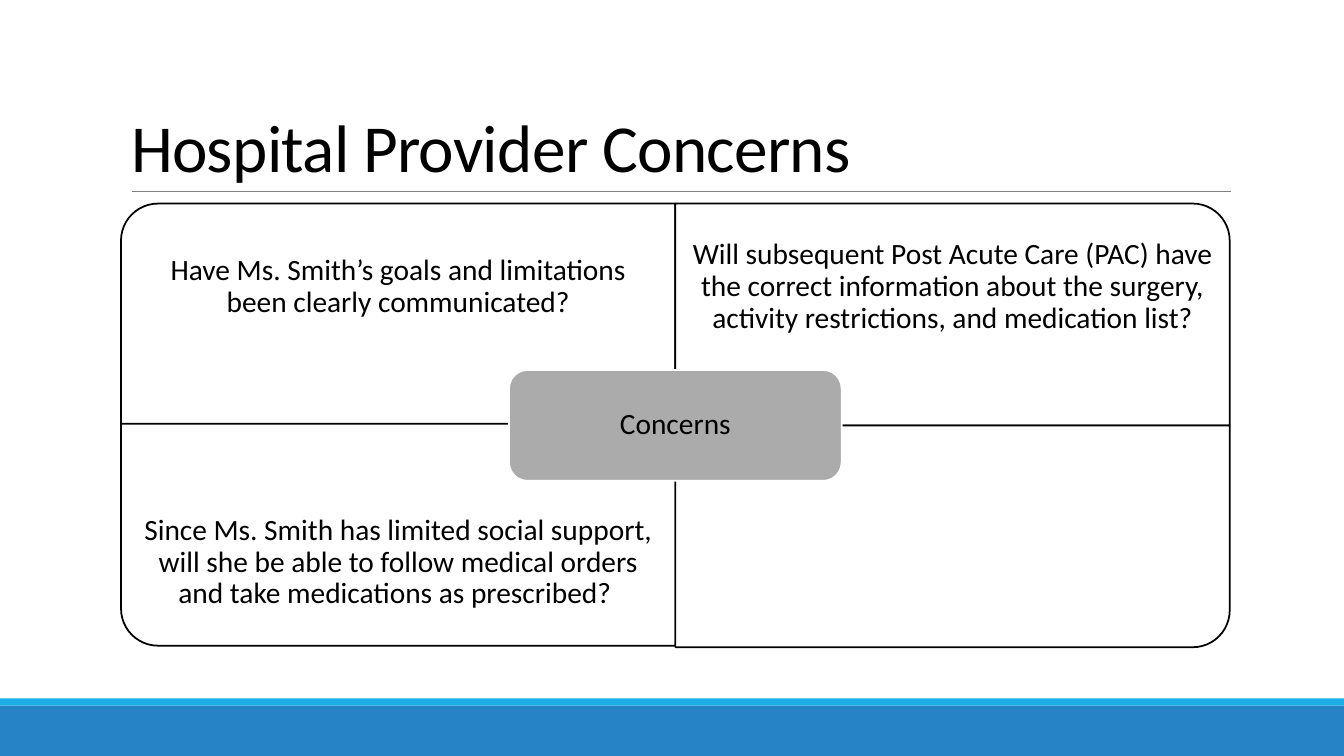
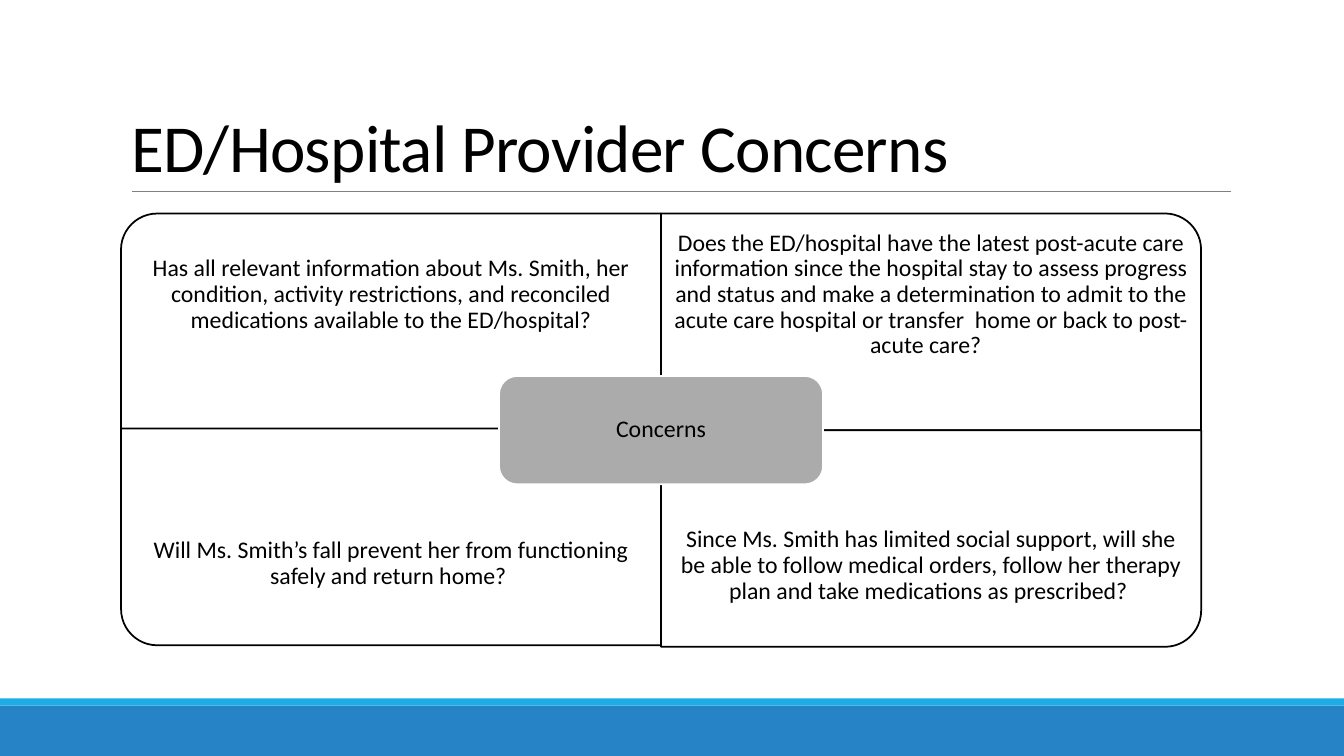
from dataclasses import dataclass
from typing import Any, NamedTuple

from pptx import Presentation
from pptx.dml.color import RGBColor as RGB
from pptx.enum.shapes import MSO_CONNECTOR as Link, MSO_SHAPE as Preset
from pptx.enum.text import MSO_ANCHOR as Anchor, MSO_AUTO_SIZE as AutoSize, PP_ALIGN as Align
from pptx.oxml.ns import qn
from pptx.util import Cm, Pt
from lxml.etree import SubElement


@dataclass(frozen=True)
class Theme:
    font: str = "Calibri"
    title_size: float = 48
    ink: str = "000000"
    paper: str = "FFFFFF"
    hub: str = "ABABAB"
    rule: str = "808080"
    band: str = "2683C6"
    accent: str = "1CADE4"
    border: float = 1.25
    hairline: float = 0.5


THEME = Theme()


class Box(NamedTuple):
    """Left, top, width and height in centimetres."""
    left: float
    top: float
    width: float
    height: float


class Band(NamedTuple):
    box: Box
    color: str


class Corner(NamedTuple):
    column: int
    row: int
    rotation: int


@dataclass(frozen=True)
class Matrix:
    title: str
    concerns: tuple[str, str, str, str]
    top: float
    cell_width: float
    cell_height: float
    size: float
    inset: float
    hub_inset: float
    left: float = 3.05


# Shared geometry
SLIDE = Box(0, 0, 33.87, 19.05)
TITLE = Box(3.05, 0.79, 27.94, 4.04)
RULE = Box(3.33, 4.82, 27.68, 0)
BANDS = (
    Band(Box(0, 17.78, SLIDE.width, 1.27), THEME.band),
    Band(Box(0, 17.6, SLIDE.width, 0.18), THEME.accent),
)
CORNERS = (Corner(0, 0, 270), Corner(1, 0, 0), Corner(0, 1, 180), Corner(1, 1, 90))
LOWER_LEFT_LIFT = 0.04
TEXT_SHARE = 0.75
HUB_WIDTH_SHARE, HUB_HEIGHT_SHARE = 0.6, 0.5

# Content
MATRICES = (
    Matrix(
        "Hospital Provider Concerns",
        (
            "Have Ms. Smith’s goals and limitations been clearly communicated?",
            "Will subsequent Post Acute Care (PAC) have the correct information about "
            "the surgery, activity restrictions, and medication list?",
            "Since Ms. Smith has limited social support, will she be able to follow "
            "medical orders and take medications as prescribed? ",
            "",
        ),
        top=5.13, cell_width=13.97, cell_height=5.59, size=21, inset=0.41, hub_inset=0.36,
    ),
    Matrix(
        "ED/Hospital Provider Concerns",
        (
            "Has all relevant information about Ms. Smith, her condition, activity "
            "restrictions, and reconciled medications available to the ED/hospital?",
            "Does the ED/hospital have the latest post-acute care information since the "
            "hospital stay to assess progress and status and make a determination to admit "
            "to the acute care hospital or transfer  home or back to post-acute care?  ",
            "Will Ms. Smith’s fall prevent her from functioning safely and return home? ",
            "Since Ms. Smith has limited social support, will she be able to follow medical "
            "orders, follow her therapy plan and take medications as prescribed? ",
        ),
        top=5.38, cell_width=13.61, cell_height=5.46, size=17, inset=0.33, hub_inset=0.31,
    ),
)


# Drawing helpers
def assign(target: Any, values: dict[str, Any]) -> None:
    for attribute, value in values.items():
        setattr(target, attribute, value)


def lengths(box: Box) -> tuple[Cm, ...]:
    return tuple(Cm(value) for value in box)


def write(shape: Any, text: str, size: float, spacing: float, frame_format: dict[str, Any],
          align: Align = Align.CENTER) -> Any:
    frame = shape.text_frame
    assign(frame, {"word_wrap": True, "auto_size": AutoSize.NONE, **frame_format})
    paragraph = frame.paragraphs[0]
    assign(paragraph, {"alignment": align, "line_spacing": spacing})
    run = paragraph.add_run()
    run.text = text
    assign(run.font, {"name": THEME.font, "size": Pt(size)})
    run.font.color.rgb = RGB.from_string(THEME.ink)
    return run


def centred(inset: float) -> dict[str, Any]:
    margins = {f"margin_{side}": Cm(inset) for side in ("left", "top", "right", "bottom")}
    return {"vertical_anchor": Anchor.MIDDLE, **margins}


def add_block(slide: Any, preset: Preset, box: Box, fill: str, line: str = "") -> Any:
    block = slide.shapes.add_shape(preset, *lengths(box))
    block.shadow.inherit = False
    block.fill.solid()
    block.fill.fore_color.rgb = RGB.from_string(fill)
    if line:
        block.line.color.rgb = RGB.from_string(line)
        block.line.width = Pt(THEME.border)
    else:
        block.line.fill.background()
    return block


def add_rule(slide: Any, box: Box) -> Any:
    rule = slide.shapes.add_connector(
        Link.STRAIGHT, Cm(box.left), Cm(box.top), Cm(box.left + box.width), Cm(box.top))
    rule.line.color.rgb = RGB.from_string(THEME.rule)
    rule.line.width = Pt(THEME.hairline)
    SubElement(rule.element.spPr, qn("a:effectLst"))
    return rule


# Layout: title position, bands and rule
def prepare_layout(layout: Any) -> None:
    for placeholder in list(layout.placeholders):
        if placeholder.placeholder_format.idx:
            placeholder.element.getparent().remove(placeholder.element)
        else:
            assign(placeholder, dict(zip(("left", "top", "width", "height"), lengths(TITLE))))


def furnish_layout(layout: Any, slide: Any) -> None:
    furniture = [add_block(slide, Preset.RECTANGLE, *band) for band in BANDS]
    furniture.append(add_rule(slide, RULE))
    for piece in furniture:
        layout.shapes.element.append(piece.element)


# Slide parts
def add_title(slide: Any, text: str) -> None:
    run = write(slide.shapes.title, text, THEME.title_size, 0.85,
                {"vertical_anchor": Anchor.BOTTOM}, Align.LEFT)
    run.font.element.set("spc", "-50") if hasattr(run.font, "element") else \
        run._r.get_or_add_rPr().set("spc", "-50")


def add_quadrant(slide: Any, matrix: Matrix, corner: Corner, concern: str) -> None:
    width, height = matrix.cell_width, matrix.cell_height
    left = matrix.left + corner.column * width
    top = matrix.top + corner.row * height
    if corner.rotation == 180:
        top -= LOWER_LEFT_LIFT
    outline = Box(left, top, width, height)
    if corner.rotation % 180:
        shift = (width - height) / 2
        outline = Box(left + shift, top - shift, height, width)
    quadrant = add_block(slide, Preset.ROUND_1_RECTANGLE, outline, THEME.paper, THEME.ink)
    quadrant.rotation = corner.rotation
    if concern:
        text_top = top + corner.row * height * (1 - TEXT_SHARE)
        question = slide.shapes.add_textbox(
            *lengths(Box(left, text_top, width, height * TEXT_SHARE)))
        write(question, concern, matrix.size, 0.9, centred(matrix.inset))


def add_hub(slide: Any, matrix: Matrix) -> None:
    width = matrix.cell_width * HUB_WIDTH_SHARE
    height = matrix.cell_height * HUB_HEIGHT_SHARE
    box = Box(matrix.left + matrix.cell_width - width / 2,
              matrix.top + matrix.cell_height - height / 2, width, height)
    hub = add_block(slide, Preset.ROUNDED_RECTANGLE, box, THEME.hub, THEME.paper)
    write(hub, "Concerns", matrix.size, 0.9, centred(matrix.hub_inset))


def main() -> None:
    deck = Presentation()
    assign(deck, {"slide_width": Cm(SLIDE.width), "slide_height": Cm(SLIDE.height)})
    layout = deck.slide_layouts.get_by_name("Title Only")
    prepare_layout(layout)
    slides = [deck.slides.add_slide(layout) for _ in MATRICES]
    furnish_layout(layout, slides[0])
    for slide, matrix in zip(slides, MATRICES):
        add_title(slide, matrix.title)
        for corner, concern in zip(CORNERS, matrix.concerns):
            add_quadrant(slide, matrix, corner, concern)
        add_hub(slide, matrix)
    deck.save("out.pptx")


main()
